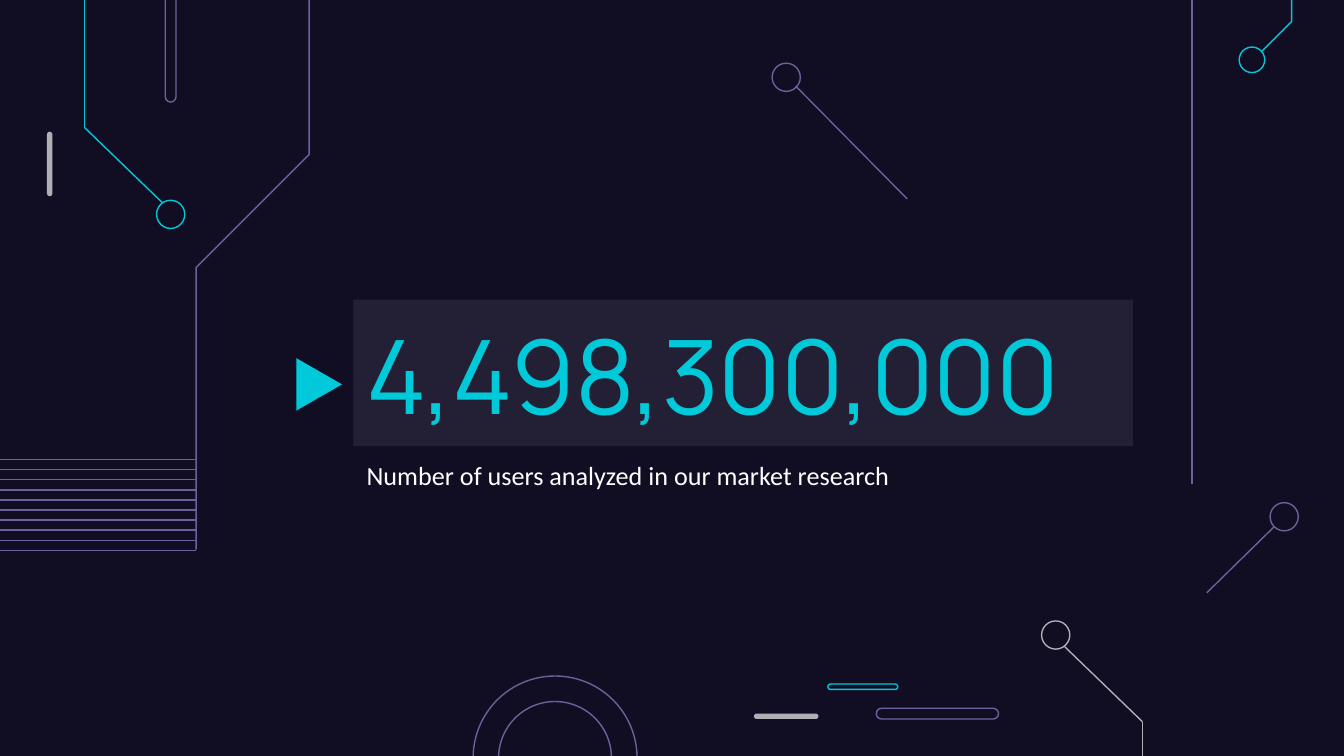
from dataclasses import dataclass
from typing import Optional

from lxml.etree import SubElement
from pptx import Presentation
from pptx.dml.color import RGBColor
from pptx.enum.shapes import MSO_CONNECTOR as Connector, MSO_SHAPE as Preset
from pptx.enum.text import MSO_ANCHOR as Anchor
from pptx.oxml.ns import qn
from pptx.util import Inches, Pt

COLUMNS, ROWS = 100, 56.25
CELL = Inches(0.1)

NIGHT = RGBColor(0x11, 0x0E, 0x24)
VIOLET = RGBColor(0x69, 0x63, 0x9C)
CYAN = RGBColor(0x00, 0xCA, 0xDA)
SILVER = RGBColor(0xAF, 0xAF, 0xB6)
WHITE = RGBColor(0xFF, 0xFF, 0xFF)


@dataclass(frozen=True)
class Area:
    """A rectangle in columns and rows of the grid."""
    column: float
    row: float
    columns: float
    rows: float

    def lengths(self) -> list[int]:
        """Return left, top, width and height in slide units."""
        return [cells(n) for n in (self.column, self.row, self.columns, self.rows)]


@dataclass(frozen=True)
class Pill:
    """A bar with round ends, either outlined or filled."""
    area: Area
    colour: RGBColor
    solid: bool = False


@dataclass(frozen=True)
class Ring:
    """An outlined circle given by its centre and diameter."""
    column: float
    row: float
    diameter: float
    colour: RGBColor


@dataclass(frozen=True)
class Trace:
    """A circuit trace running through grid points."""
    points: tuple[tuple[float, float], ...]
    colour: RGBColor


PILLS = (
    Pill(Area(3.5, 9.8, 0.4, 4.8), SILVER, solid=True),
    Pill(Area(56.1, 53.1, 4.8, 0.4), SILVER, solid=True),
    Pill(Area(12.3, -1.5, 0.8, 9.1), VIOLET),
    Pill(Area(61.6, 50.9, 5.2, 0.4), CYAN),
    Pill(Area(65.2, 52.7, 9.1, 0.8), VIOLET),
)

RINGS = (
    Ring(41.3, 56.4, 12.2, VIOLET),
    Ring(41.3, 56.4, 8.4, VIOLET),
    Ring(12.7, 15.95, 2.1, CYAN),
    Ring(95.55, 38.45, 2.1, VIOLET),
    Ring(93.15, 4.45, 1.9, CYAN),
    Ring(78.55, 47.25, 2.1, SILVER),
    Ring(58.5, 5.75, 2.1, VIOLET),
)

STRIPE_TOP, STRIPE_GAP, STRIPE_COUNT, STRIPE_END = 34.2, 0.75, 10, 14.6
STRIPES = tuple(
    Trace(((0, STRIPE_TOP + i * STRIPE_GAP), (STRIPE_END, STRIPE_TOP + i * STRIPE_GAP)), VIOLET)
    for i in range(STRIPE_COUNT)
)

TRACES = (
    Trace(((6.3, 0), (6.3, 9.5)), CYAN),
    Trace(((6.3, 9.5), (12.1, 15.1)), CYAN),
    Trace(((89.8, 44.1), (94.8, 39.2)), VIOLET),
    Trace(((93.9, 3.8), (96.1, 1.6), (96.1, 0)), CYAN),
    Trace(((85, 53.7), (85, ROWS)), SILVER),
    Trace(((85, 53.7), (79.2, 48.1)), SILVER),
    Trace(((88.7, 0), (88.7, 36)), VIOLET),
    Trace(((67.5, 14.8), (59.2, 6.4)), VIOLET),
    *STRIPES,
    Trace(((14.6, 40.9), (14.6, 19.9), (23, 11.5), (23, 0)), VIOLET),
)


def cells(count: float) -> int:
    """Turn a number of grid cells into slide units."""
    return round(count * CELL)


def paint(part, fill: Optional[RGBColor] = None, line: Optional[RGBColor] = None) -> None:
    """Set fill and outline, leaving out whichever is not given."""
    part.shadow.inherit = False
    if fill is None:
        part.fill.background()
    else:
        part.fill.solid()
        part.fill.fore_color.rgb = fill
    if line is None:
        part.line.fill.background()
    else:
        part.line.color.rgb = line
        part.line.width = Pt(0.75)


def draw_pill(shapes, pill: Pill) -> None:
    """Draw a bar with fully rounded ends."""
    bar = shapes.add_shape(Preset.ROUNDED_RECTANGLE, *pill.area.lengths())
    bar.adjustments[0] = 0.5
    if pill.solid:
        paint(bar, fill=pill.colour)
    else:
        paint(bar, line=pill.colour)


def draw_ring(shapes, ring: Ring) -> None:
    """Draw an outlined circle around its centre."""
    size, radius = ring.diameter, ring.diameter / 2
    area = Area(ring.column - radius, ring.row - radius, size, size)
    paint(shapes.add_shape(Preset.OVAL, *area.lengths()), line=ring.colour)


def draw_trace(shapes, trace: Trace) -> None:
    """Draw a straight trace as a connector and a bent one as an outline."""
    start, *rest = [(cells(column), cells(row)) for column, row in trace.points]
    if len(rest) == 1:
        wire = shapes.add_connector(Connector.STRAIGHT, *start, *rest[0])
        wire.line.color.rgb = trace.colour
        wire.line.width = Pt(0.75)
        SubElement(wire._element.spPr, qn("a:effectLst"))
    else:
        builder = shapes.build_freeform(*start)
        builder.add_line_segments(rest, close=False)
        paint(builder.convert_to_shape(), line=trace.colour)


def write(shapes, text: str, area: Area, *, font: str, size: float, colour: RGBColor,
          anchor: Anchor = Anchor.TOP):
    """Add a wrapped text box and return it."""
    box = shapes.add_textbox(*area.lengths())
    frame = box.text_frame
    frame.word_wrap = True
    frame.vertical_anchor = anchor
    frame.margin_left = frame.margin_right = frame.margin_top = frame.margin_bottom = CELL
    run = frame.paragraphs[0].add_run()
    run.text = text
    run.font.name = font
    run.font.size = Pt(size)
    run.font.color.rgb = colour
    return box


def main() -> None:
    """Build the big number slide."""
    deck = Presentation()
    deck.slide_width, deck.slide_height = cells(COLUMNS), cells(ROWS)
    slide = deck.slides.add_slide(deck.slide_layouts[6])
    slide.background.fill.solid()
    slide.background.fill.fore_color.rgb = NIGHT
    shapes = slide.shapes

    for pill in PILLS:
        draw_pill(shapes, pill)
    for ring in RINGS:
        draw_ring(shapes, ring)
    for trace in TRACES:
        draw_trace(shapes, trace)

    number = write(shapes, "4,498,300,000", Area(26.3, 22.3, 58, 10.9), font="Manrope",
                   size=55, colour=CYAN, anchor=Anchor.MIDDLE)
    paint(number, fill=WHITE)
    tint = number._element.spPr.find(qn("a:solidFill"))[0]
    SubElement(tint, qn("a:alpha"), val="8000")
    write(shapes, "Number of users analyzed in our market research",
          Area(26.3, 33.2, 58, 5.4), font="Calibri", size=14, colour=WHITE)

    pointer = shapes.add_shape(Preset.FLOWCHART_MERGE, *Area(21.8, 26.9, 3.9, 3.4).lengths())
    pointer.rotation = 270
    paint(pointer, fill=CYAN)
    deck.save("out.pptx")


if __name__ == "__main__":
    main()
